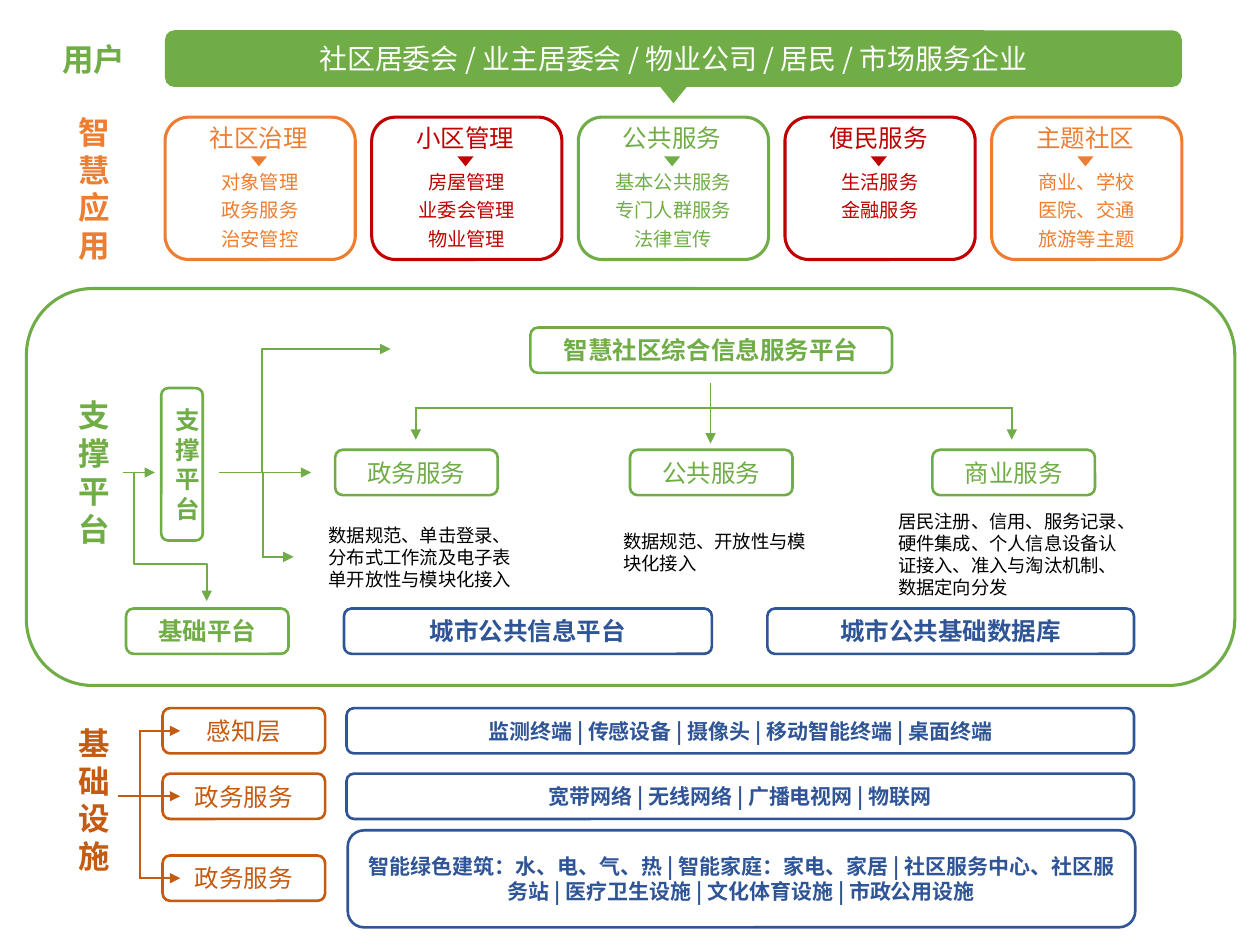
import dataclasses

import lxml.etree
import pptx
import pptx.dml.color
import pptx.enum.shapes
import pptx.enum.text
import pptx.oxml.ns
import pptx.util

SHAPES = pptx.enum.shapes.MSO_SHAPE
CONNECTORS = pptx.enum.shapes.MSO_CONNECTOR
ALIGN = pptx.enum.text.PP_ALIGN
ANCHOR = pptx.enum.text.MSO_ANCHOR
AUTO_SIZE = pptx.enum.text.MSO_AUTO_SIZE

# The slide is a grid of 100 columns by 75 rows of square cells.
COLUMNS, ROWS = 100, 75
CELL = pptx.util.Inches(0.1)
POINTS_PER_CELL = 7.2
INSET = 1


@dataclasses.dataclass(frozen=True)
class Theme:
    green: str = "70AD47"
    orange: str = "ED7D31"
    red: str = "C00000"
    blue: str = "2F5597"
    rust: str = "C55A11"
    white: str = "FFFFFF"
    black: str = "000000"
    font: str = "Noto Sans CJK SC"
    card_font: str = "Calibri"
    label_size: float = 18
    banner_size: float = 16
    box_size: float = 14
    list_size: float = 12
    item_size: float = 11
    note_size: float = 10.5
    frame_line: float = 1.75
    box_line: float = 1.5
    arrow_line: float = 1


THEME = Theme()


def grid(*cells):
    return [round(cell * CELL) for cell in cells]


def rgb(color):
    return pptx.dml.color.RGBColor.from_string(color)


def write(shape, text, size, color, bold=None, font=THEME.font, align=None):
    paragraph = shape.text_frame.paragraphs[0]
    paragraph.text = text
    paragraph.alignment = align
    for run in paragraph.runs:
        run.font.size = pptx.util.Pt(size)
        run.font.bold = bold
        run.font.name = font
        run.font.color.rgb = rgb(color)
        east_asian = lxml.etree.SubElement(run._r.get_or_add_rPr(), pptx.oxml.ns.qn("a:ea"))
        east_asian.set("typeface", THEME.font)


def add_block(slide, kind, area, fill=None, line=None, width=THEME.box_line):
    shape = slide.shapes.add_shape(kind, *grid(*area))
    shape.shadow.inherit = False
    if fill:
        shape.fill.solid()
        shape.fill.fore_color.rgb = rgb(fill)
    else:
        shape.fill.background()
    if line:
        shape.line.color.rgb = rgb(line)
        shape.line.width = pptx.util.Pt(width)
    else:
        shape.line.fill.background()
    return shape


def add_box(slide, area, text, color, size=THEME.box_size, bold=None):
    shape = add_block(slide, SHAPES.ROUNDED_RECTANGLE, area, line=color)
    shape.text_frame.vertical_anchor = ANCHOR.MIDDLE
    write(shape, text, size, color, bold, align=ALIGN.CENTER)


def add_label(slide, area, text, color):
    shape = add_block(slide, SHAPES.RECTANGLE, area, fill=THEME.white)
    shape.text_frame.vertical_anchor = ANCHOR.MIDDLE
    write(shape, text, THEME.label_size, color, True, align=ALIGN.CENTER)


def add_text(slide, area, text, size, color, font=THEME.font, wrap=True):
    shape = slide.shapes.add_textbox(*grid(*area))
    shape.text_frame.word_wrap = wrap
    shape.text_frame.auto_size = AUTO_SIZE.SHAPE_TO_FIT_TEXT
    write(shape, text, size, color, font=font)


def add_line(slide, start, end, color, arrow=True, kind=CONNECTORS.STRAIGHT):
    connector = slide.shapes.add_connector(kind, *grid(*start, *end))
    connector.line.color.rgb = rgb(color)
    connector.line.width = pptx.util.Pt(THEME.arrow_line)
    properties = connector._element.spPr
    if arrow:
        head = lxml.etree.SubElement(connector.line._get_or_add_ln(), pptx.oxml.ns.qn("a:tailEnd"))
        head.set("type", "triangle")
    lxml.etree.SubElement(properties, pptx.oxml.ns.qn("a:effectLst"))
    return connector


def add_elbow(slide, start, end, color, bend, downward=False):
    """Bend at a share of the way; downward elbows leave vertically."""
    if downward:
        middle_x, middle_y = (start[0] + end[0]) / 2, (start[1] + end[1]) / 2
        half_x, half_y = (end[1] - start[1]) / 2, (end[0] - start[0]) / 2
        start = middle_x + half_x, middle_y - half_y
        end = middle_x - half_x, middle_y + half_y
    connector = add_line(slide, start, end, color, kind=CONNECTORS.ELBOW)
    properties = connector._element.spPr
    if downward:
        properties.find(pptx.oxml.ns.qn("a:xfrm")).set("rot", str(270 * 60000))
    geometry = properties.find(pptx.oxml.ns.qn("a:prstGeom"))
    adjustments = geometry.find(pptx.oxml.ns.qn("a:avLst"))
    guide = lxml.etree.SubElement(adjustments, pptx.oxml.ns.qn("a:gd"))
    guide.set("name", "adj1")
    guide.set("fmla", f"val {round(bend * 100000)}")


def add_card_text(slide, center, top, text, size, color):
    width = len(text) * size / POINTS_PER_CELL + 2 * INSET
    height = size * 1.3 / POINTS_PER_CELL + INSET
    add_text(slide, (center - width / 2, top, width, height), text, size, color,
             THEME.card_font, wrap=False)


def add_users(slide):
    add_label(slide, (2.6, 2.4, 9.7, 4.5), "用户", THEME.green)
    banner = add_block(slide, SHAPES.ROUNDED_RECTANGLE, (13.1, 2.4, 80.7, 4.5), THEME.green)
    banner.text_frame.vertical_anchor = ANCHOR.MIDDLE
    write(banner, "社区居委会 / 业主居委会 / 物业公司 / 居民 / 市场服务企业",
          THEME.banner_size, THEME.white, align=ALIGN.CENTER)
    add_block(slide, SHAPES.FLOWCHART_MERGE, (52.4, 6.9, 2.1, 1.3), THEME.green)


def add_applications(slide):
    add_label(slide, (5.1, 9.3, 4.7, 11.3), "智慧应用", THEME.orange)
    cards = [
        ("社区治理", THEME.orange, ["对象管理", "政务服务", "治安管控"]),
        ("小区管理", THEME.red, ["房屋管理", "业委会管理", "物业管理"]),
        ("公共服务", THEME.green, ["基本公共服务", "专门人群服务", "法律宣传"]),
        ("便民服务", THEME.red, ["生活服务", "金融服务"]),
        ("主题社区", THEME.orange, ["商业、学校", "医院、交通", "旅游等主题"]),
    ]
    card_width, pitch = 15.1, 16.4
    for column, (title, color, items) in enumerate(cards):
        left = 13.1 + column * pitch
        center = left + card_width / 2
        add_block(slide, SHAPES.ROUNDED_RECTANGLE, (left, 9.3, card_width, 11.3),
                  line=color, width=THEME.frame_line)
        add_card_text(slide, center - 0.1, 9.3, title, THEME.box_size, color)
        add_block(slide, SHAPES.FLOWCHART_MERGE, (center - 0.75, 12.4, 1.3, 0.8), color)
        for row, item in enumerate(items):
            add_card_text(slide, center, 13 + row * 2.28, item, THEME.item_size, color)


def add_platform(slide):
    green = THEME.green
    add_block(slide, SHAPES.ROUNDED_RECTANGLE, (2.1, 22.9, 95.9, 31.5),
              line=green, width=THEME.frame_line)
    add_label(slide, (5.1, 31.8, 4.7, 11.3), "支撑平台", green)
    # Platforms
    for area, text, color in [
        ((12.8, 30.8, 3.3, 12.1), "支撑平台", green),
        ((42.1, 26, 28.7, 3.6), "智慧社区综合信息服务平台", green),
        ((10, 48.3, 12.9, 3.6), "基础平台", green),
        ((27.3, 48.3, 29.2, 3.6), "城市公共信息平台", THEME.blue),
        ((60.9, 48.3, 29.1, 3.6), "城市公共基础数据库", THEME.blue),
    ]:
        add_box(slide, area, text, color, bold=True)
    # Services with their notes
    for left, service, note_area, note in [
        (26.6, "政务服务", (25.1, 41.1, 16.9, 6.3),
         "数据规范、单击登录、分布式工作流及电子表单开放性与模块化接入"),
        (50, "公共服务", (48.5, 41.6, 16.9, 4.5), "数据规范、开放性与模块化接入"),
        (74, "商业服务", (70.3, 40, 20.2, 8.1),
         "居民注册、信用、服务记录、硬件集成、个人信息设备认证接入、准入与淘汰机制、数据定向分发"),
    ]:
        add_box(slide, (left, 35.7, 12.9, 3.6), service, green)
        add_text(slide, note_area, note, THEME.note_size, THEME.black)
    # Arrows
    for start, end, arrow in [
        ((9.8, 37.5), (12.3, 37.5), True),
        ((17.4, 37.5), (24.7, 37.5), True),
        ((20.9, 37.5), (20.9, 44.2), False),
        ((20.8, 44.2), (23.3, 44.2), True),
        ((56.4, 30.4), (56.4, 35.2), True),
        ((33, 32.4), (33, 34.9), True),
        ((80.3, 32.4), (80.3, 34.9), True),
        ((32.9, 32.4), (80.4, 32.4), False),
    ]:
        add_line(slide, start, end, green, arrow)
    add_elbow(slide, (10.6, 37.5), (16.4, 47.7), green, 0.71, downward=True)
    add_elbow(slide, (20.7, 37.5), (31, 27.7), green, 0.01)


def add_infrastructure(slide):
    add_label(slide, (5.1, 57.8, 4.7, 11.3), "基础设施", THEME.rust)
    for top, layer, trunk, list_area, content in [
        (56.2, "感知层", 11, (27.5, 56.2, 62.5, 3.6),
         "监测终端 | 传感设备 | 摄像头 | 移动智能终端 | 桌面终端"),
        (61.4, "政务服务", 9.4, (27.5, 61.4, 62.5, 3.6),
         "宽带网络 | 无线网络 | 广播电视网 | 物联网"),
        (67.9, "政务服务", 11, (27.6, 65.9, 62.5, 7.7),
         "智能绿色建筑：水、电、气、热 | 智能家庭：家电、家居 | 社区服务中心、社区服务站"
         " | 医疗卫生设施 | 文化体育设施 | 市政公用设施"),
    ]:
        add_box(slide, (12.9, top, 12.9, 3.6), layer, THEME.rust)
        add_line(slide, (trunk, top + 1.8), (14.3, top + 1.8), THEME.rust)
        add_box(slide, list_area, content, THEME.blue, THEME.list_size, True)
    add_line(slide, (11.1, 58), (11.1, 69.8), THEME.rust, arrow=False)


def main():
    presentation = pptx.Presentation()
    presentation.slide_width, presentation.slide_height = grid(COLUMNS, ROWS)
    slide = presentation.slides.add_slide(presentation.slide_layouts[6])
    add_users(slide)
    add_applications(slide)
    add_platform(slide)
    add_infrastructure(slide)
    presentation.save("out.pptx")


main()
